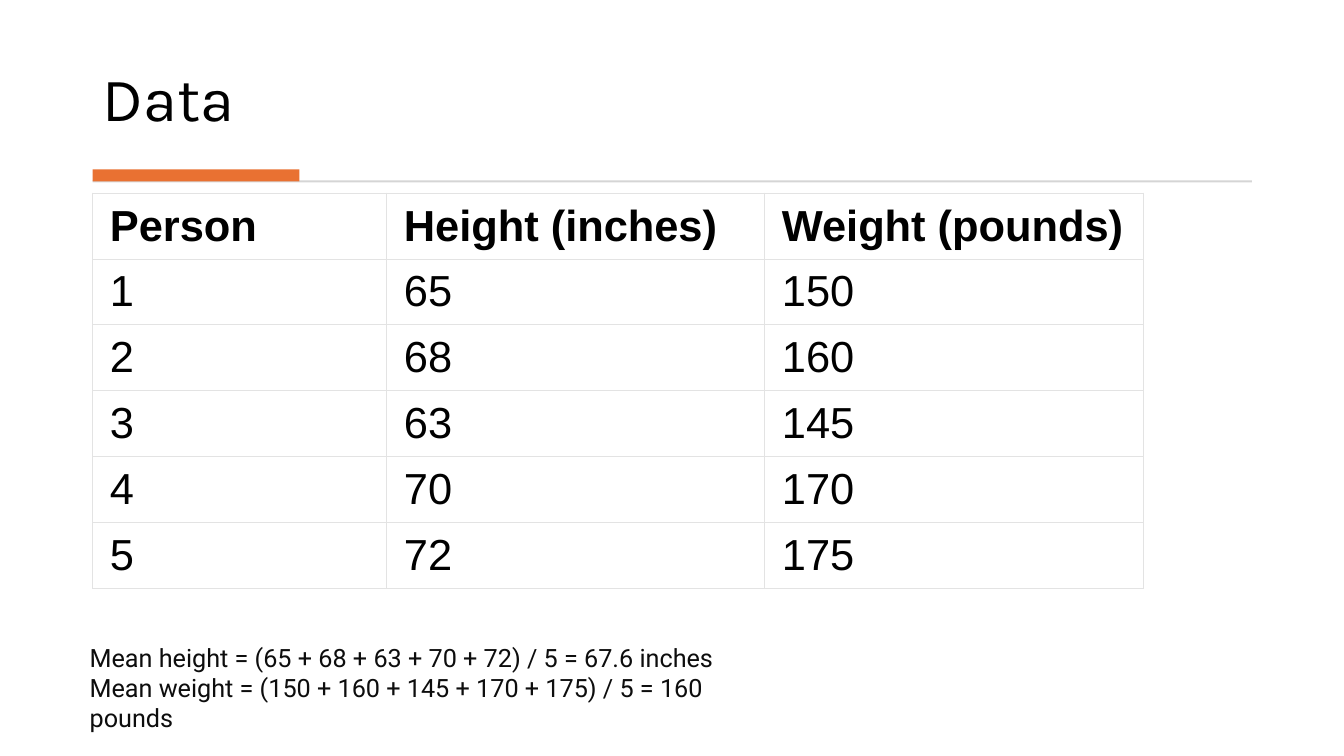
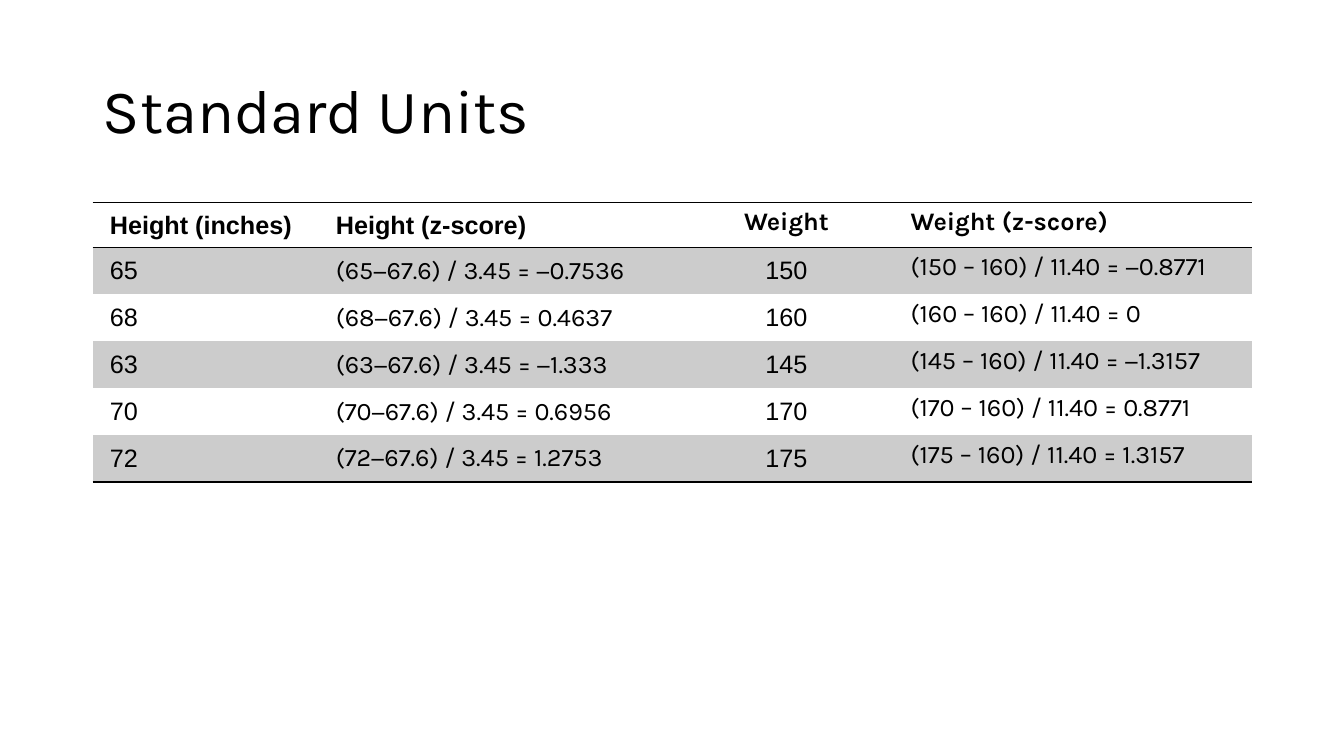
from lxml.etree import SubElement
from pptx import Presentation
from pptx.dml.color import RGBColor
from pptx.enum.shapes import MSO_SHAPE as Shape
from pptx.enum.text import MSO_ANCHOR as Anchor, PP_ALIGN as Align
from pptx.oxml.ns import qn
from pptx.util import Inches, Pt

WIDTH, HEIGHT = Inches(13.33), Inches(7.5)
COLORS = {
    "text": "000000",
    "note": "0D0D0D",
    "accent": "E97132",
    "rule": "D5D5D5",
    "grid": "E3E3E3",
    "band": "CCCCCC",
}
TITLE_FONT, TABLE_FONT, NOTE_FONT = "Karla", "Arial", "Roboto"
LEFT, CONTENT_WIDTH = 6.9, 86.25
PLAIN_TABLE = "{2D5ABB26-0587-4C30-8999-92F81FD0307C}"
WIDE_INSETS, NARROW_INSETS = (0.17, 0.08), (0.1, 0.05)

HEIGHTS = ["65", "68", "63", "70", "72"]
WEIGHTS = ["150", "160", "145", "170", "175"]
HEIGHT_SCORES = ["−0.7536", "0.4637", "−1.333", "0.6956", "1.2753"]
WEIGHT_SCORES = ["−0.8771", "0", "−1.3157", "0.8771", "1.3157"]


def color(name):
    return RGBColor.from_string(COLORS[name])


def place(left, top, width, height):
    """Turn percentages of the slide into lengths."""
    return (int(WIDTH * left / 100), int(HEIGHT * top / 100),
            int(WIDTH * width / 100), int(HEIGHT * height / 100))


def style(paragraph, font, size, tone="text", bold=False, align=Align.LEFT):
    paragraph.alignment = align
    paragraph.font.name = font
    paragraph.font.size = Pt(size)
    paragraph.font.bold = bold
    paragraph.font.color.rgb = color(tone)


def add_titled_slide(deck, text, top, height, anchor):
    slide = deck.slides.add_slide(deck.slide_layouts[5])
    title = slide.shapes.title
    title.left, title.top, title.width, title.height = place(
        LEFT, top, CONTENT_WIDTH, height)
    title.text_frame.text = text
    title.text_frame.vertical_anchor = anchor
    heading = title.text_frame.paragraphs[0]
    heading.line_spacing = 0.9
    style(heading, TITLE_FONT, 44)
    return slide


def add_bar(slide, top, width, height, tone):
    bar = slide.shapes.add_shape(Shape.RECTANGLE, *place(LEFT, top, width, height))
    bar.shadow.inherit = False
    bar.fill.solid()
    bar.fill.fore_color.rgb = color(tone)
    bar.line.fill.background()


def add_plain_table(slide, top, width, height, shares, row_count):
    frame = slide.shapes.add_table(
        row_count, len(shares), *place(LEFT, top, width, height))
    frame.element.find(".//" + qn("a:tableStyleId")).text = PLAIN_TABLE
    table = frame.table
    table.first_row = table.horz_banding = False
    for column, share in zip(table.columns, shares):
        column.width = int(WIDTH * width / 100 * share / 100)
    return table


def set_borders(cell, sides, tone, points):
    properties = cell._tc.get_or_add_tcPr()
    for side in sides:
        line = SubElement(properties, qn(f"a:ln{side}"), w=str(Pt(points)))
        fill = SubElement(line, qn("a:solidFill"))
        SubElement(fill, qn("a:srgbClr"), val=COLORS[tone])


def fill_cell(cell, text, insets, anchor, band=False, **look):
    cell.text = text
    cell.vertical_anchor = anchor
    cell.margin_left = cell.margin_right = Inches(insets[0])
    cell.margin_top = cell.margin_bottom = Inches(insets[1])
    style(cell.text_frame.paragraphs[0], **look)
    if band:
        cell.fill.solid()
        cell.fill.fore_color.rgb = color("band")
    else:
        cell.fill.background()


def add_note(slide, lines):
    frame = slide.shapes.add_textbox(*place(5.93, 84.27, 49.74, 9.47)).text_frame
    frame.word_wrap = True
    frame.text = "\n".join(lines)
    for paragraph in frame.paragraphs:
        style(paragraph, NOTE_FONT, 18, "note")


def build_data_slide(deck):
    slide = add_titled_slide(deck, "Data", 3.73, 14.8, Anchor.BOTTOM)
    add_bar(slide, 23.87, CONTENT_WIDTH, 0.27, "rule")
    add_bar(slide, 22.4, 15.38, 1.6, "accent")

    people = [str(number + 1) for number in range(len(HEIGHTS))]
    rows = [("Person", "Height (inches)", "Weight (pounds)"),
            *zip(people, HEIGHTS, WEIGHTS)]
    table = add_plain_table(slide, 25.55, 78.15, 52.27, (28, 36, 36), len(rows))
    for r, values in enumerate(rows):
        header = r == 0
        for c, text in enumerate(values):
            cell = table.cell(r, c)
            set_borders(cell, "LRTB", "grid", 0.75)
            fill_cell(cell, text, WIDE_INSETS,
                      Anchor.BOTTOM if header else Anchor.MIDDLE,
                      font=TABLE_FONT, size=31, bold=header)

    add_note(slide, [
        "Mean height = (65 + 68 + 63 + 70 + 72) / 5 = 67.6 inches",
        "Mean weight = (150 + 160 + 145 + 170 + 175) / 5 = 160 pounds",
    ])


def build_units_slide(deck):
    slide = add_titled_slide(deck, "Standard Units", 5.33, 19.33, Anchor.MIDDLE)
    height_sums = [f"({height}−67.6) / 3.45 = {score}"
                   for height, score in zip(HEIGHTS, HEIGHT_SCORES)]
    weight_sums = [f"({weight} – 160) / 11.40 = {score}"
                   for weight, score in zip(WEIGHTS, WEIGHT_SCORES)]
    rows = [("Height (inches)", "Height (z-score)", "Weight", "Weight (z-score)"),
            *zip(HEIGHTS, height_sums, WEIGHTS, weight_sums)]
    header_fonts = (TABLE_FONT, TABLE_FONT, TITLE_FONT, TITLE_FONT)
    body_fonts = (TABLE_FONT, TITLE_FONT, TABLE_FONT, TITLE_FONT)

    table = add_plain_table(slide, 26.75, CONTENT_WIDTH, 37.07,
                            (19.5, 30.5, 19.7, 30.3), len(rows))
    header_height = Inches(0.45)
    body_height = (int(HEIGHT * 0.37) - header_height) // len(HEIGHTS)
    for r, values in enumerate(rows):
        header = r == 0
        table.rows[r].height = header_height if header else body_height
        edges = "TB" if header else "B" if r == len(rows) - 1 else ""
        for c, text in enumerate(values):
            cell = table.cell(r, c)
            set_borders(cell, edges, "text", 1)
            top_aligned = c == 3 or (header and c == 2)
            centre_anchor = Anchor.BOTTOM if header else Anchor.MIDDLE
            fill_cell(cell, text,
                      NARROW_INSETS if top_aligned else WIDE_INSETS,
                      Anchor.TOP if top_aligned else centre_anchor,
                      band=r % 2 == 1,
                      font=(header_fonts if header else body_fonts)[c],
                      size=18, bold=header,
                      align=Align.CENTER if c == 2 else Align.LEFT)


def main():
    deck = Presentation()
    deck.slide_width, deck.slide_height = WIDTH, HEIGHT
    build_data_slide(deck)
    build_units_slide(deck)
    deck.save("out.pptx")


if __name__ == "__main__":
    main()
